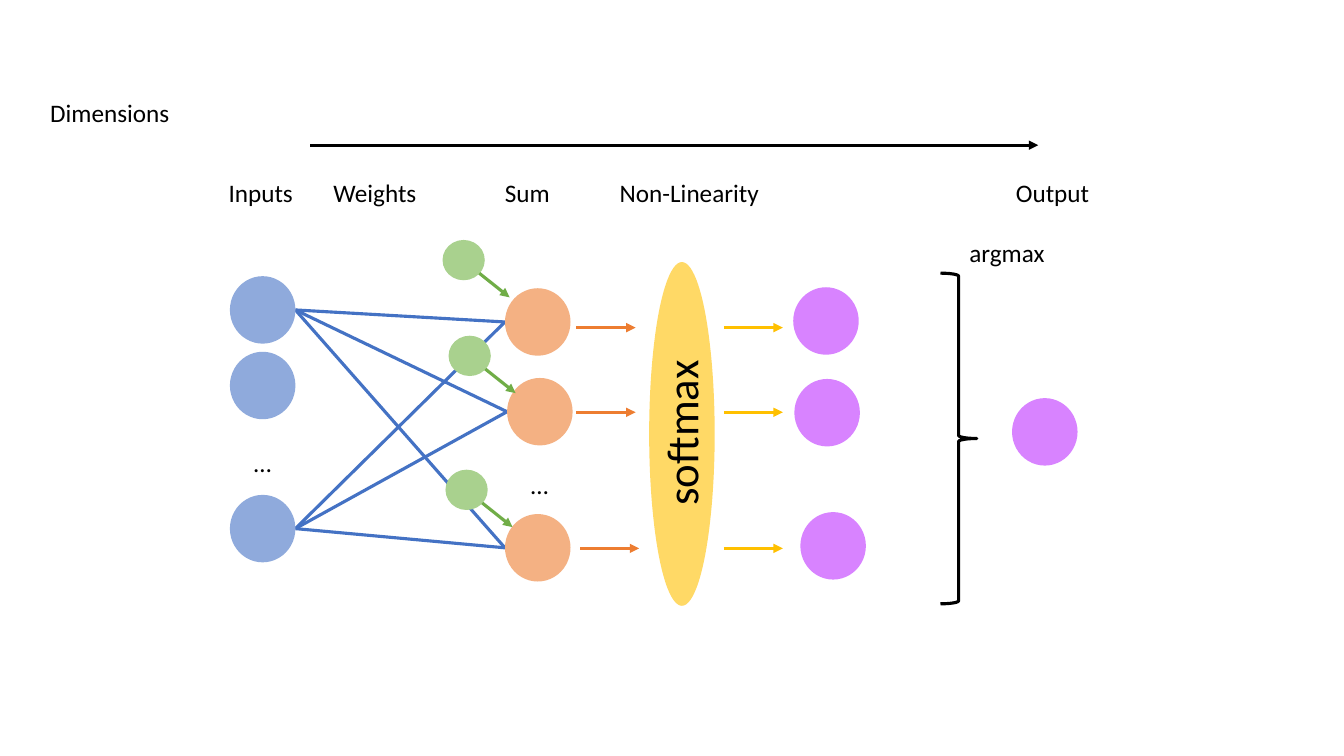
from itertools import product

from lxml.etree import SubElement
from pptx import Presentation
from pptx.dml.color import RGBColor
from pptx.enum.shapes import MSO_CONNECTOR, MSO_SHAPE
from pptx.enum.text import MSO_ANCHOR, MSO_AUTO_SIZE
from pptx.oxml.ns import qn
from pptx.util import Pt

COLORS = {
    "input": "8FAADC", "weight": "4472C4",
    "sum": "F4B183", "sum_arrow": "ED7D31",
    "bias": "A9D18E", "bias_arrow": "70AD47",
    "softmax": "FFD966", "softmax_arrow": "FFC000",
    "output": "D883FF", "black": "000000",
}
FONT = "Calibri"
NODE = (46.8, 48.2)
BIAS = (30.2, 28.8)
LABEL_HEIGHT = 29.1

inputs = [(164.2, 197.3), (164.2, 251.3), (164.2, 353.5)]
sums = [(360.7, 205.9), (362.2, 270), (360.7, 367.2)]
outputs = [(566.6, 205.2), (567.4, 270.7), (571.7, 365.8)]
answer = (722.9, 284.4)
biases = [(316.1, 171.4), (320.4, 239.8), (318.2, 335.5)]
arrow_rows = [(411.8, 234), (411.8, 294.5), (414.4, 391.7)]
softmax_arrow_left = 517
arrow_length = 42.2

headings = [
    ("Inputs", 156.2, 61.2),
    ("Weights", 231.1, 74.2),
    ("Sum", 353.5, 46.8),
    ("Non-Linearity", 435.6, 115.2),
    ("Output", 718.6, 67.7),
]
heading_top = 123.1
labels = [
    ("Dimensions", 28.8, 66.2, 100.8),
    ("argmax", 685.4, 166.3, 69.1),
    ("…", 174.2, 316.1, 27.4),
    ("…", 372.2, 331.9, 27.4),
] + [(text, left, heading_top, width) for text, left, width in headings]

deck = Presentation()
deck.slide_width, deck.slide_height = Pt(960), Pt(540)
page = deck.slides.add_slide(deck.slide_layouts[6])


def add_line(start, end, color, arrow=False):
    line = page.shapes.add_connector(
        MSO_CONNECTOR.STRAIGHT, *(Pt(value) for value in (*start, *end)))
    line.line.color.rgb = RGBColor.from_string(COLORS[color])
    line.line.width = Pt(2.25)
    if arrow:
        SubElement(line.line._get_or_add_ln(), qn("a:tailEnd"), type="triangle")
    SubElement(line._element.spPr, qn("a:effectLst"))


def add_ellipse(corner, size, color):
    ellipse = page.shapes.add_shape(
        MSO_SHAPE.OVAL, *(Pt(value) for value in (*corner, *size)))
    ellipse.shadow.inherit = False
    ellipse.fill.solid()
    ellipse.fill.fore_color.rgb = RGBColor.from_string(COLORS[color])
    ellipse.line.fill.background()


def add_text(text, left, top, width, height=LABEL_HEIGHT, size=18, rotation=0):
    box = page.shapes.add_textbox(Pt(left), Pt(top), Pt(width), Pt(height))
    box.rotation = rotation
    frame = box.text_frame
    frame.word_wrap = False
    frame.auto_size = MSO_AUTO_SIZE.SHAPE_TO_FIT_TEXT
    frame.vertical_anchor = MSO_ANCHOR.TOP
    span = frame.paragraphs[0].add_run()
    span.text = text
    span.font.name = FONT
    span.font.size = Pt(size)
    span.font.color.rgb = RGBColor.from_string(COLORS["black"])


node_width, node_height = NODE
for source, target in product((inputs[0], inputs[-1]), sums):
    add_line((source[0] + node_width, source[1] + node_height / 2),
             (target[0], target[1] + node_height / 2), "weight")

for kind, corners in (("input", inputs), ("sum", sums),
                      ("output", outputs + [answer])):
    for corner in corners:
        add_ellipse(corner, NODE, kind)

for left, top in biases:
    add_ellipse((left, top), BIAS, "bias")
    add_line((left + 26.3, top + 23.8), (left + 47.9, top + 41),
             "bias_arrow", arrow=True)

add_ellipse((463.7, 187.2), (46.8, 245.5), "softmax")
add_text("softmax", 426.2, 285.1, 120.2, height=46.1, size=32, rotation=270)

for left, middle in arrow_rows:
    for start, color in ((left, "sum_arrow"), (softmax_arrow_left, "softmax_arrow")):
        add_line((start, middle), (start + arrow_length, middle), color, arrow=True)

add_line((221.8, 103.7), (741.6, 103.7), "black", arrow=True)

brace = page.shapes.add_shape(
    MSO_SHAPE.RIGHT_BRACE, Pt(671.8), Pt(195.1), Pt(25.9), Pt(236.2))
brace.shadow.inherit = False
brace.fill.background()
brace.line.color.rgb = RGBColor.from_string(COLORS["black"])
brace.line.width = Pt(2.25)

for label in labels:
    add_text(*label)

deck.save("out.pptx")
